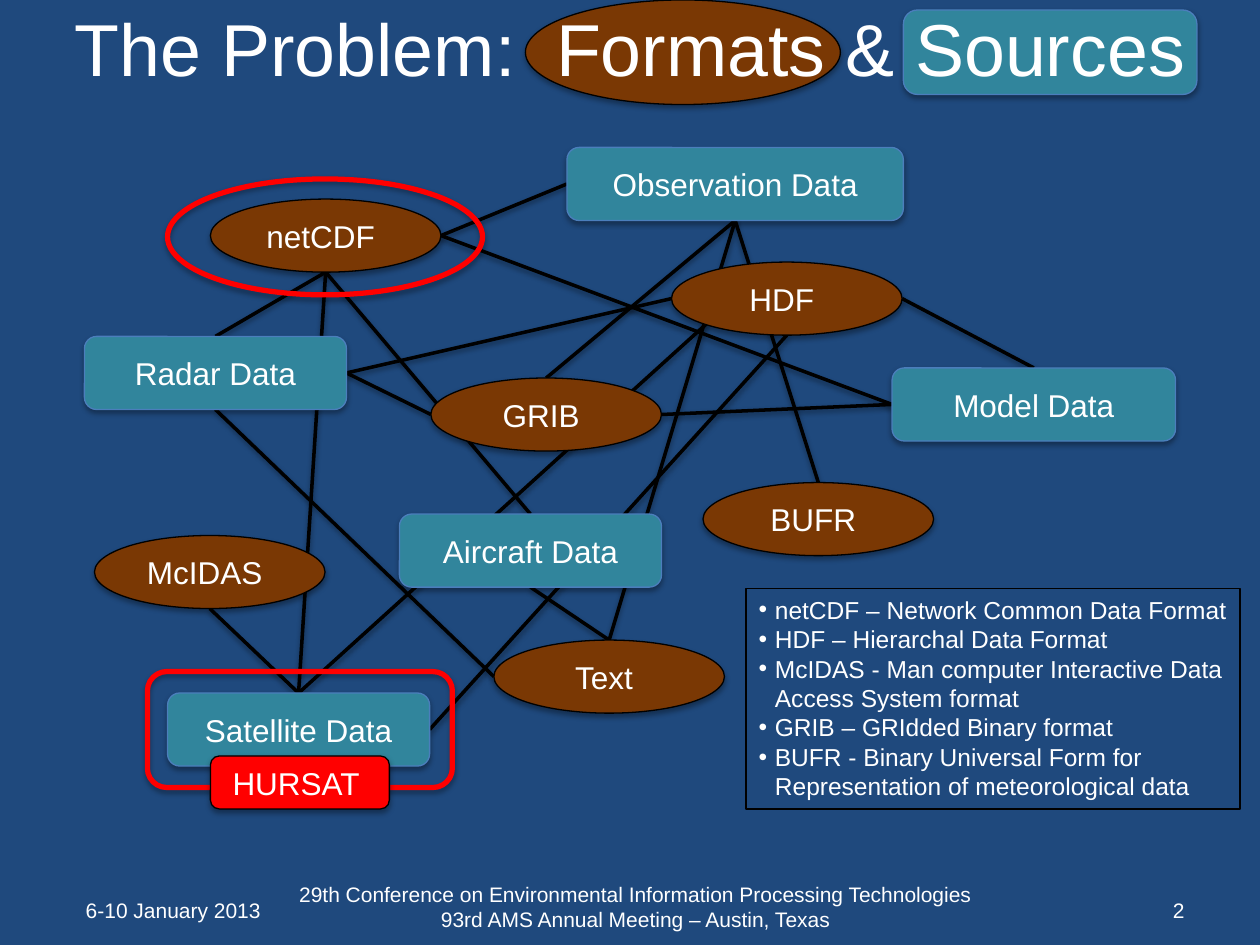
"""Build the slide that maps data formats to data sources."""
import lxml.etree
import pptx
import pptx.dml.color
import pptx.enum.shapes
import pptx.enum.text
import pptx.oxml.ns
import pptx.util

Inches = pptx.util.Inches
Pt = pptx.util.Pt
SHAPE = pptx.enum.shapes.MSO_SHAPE
ALIGN = pptx.enum.text.PP_ALIGN
MIDDLE = pptx.enum.text.MSO_ANCHOR.MIDDLE
TEAL, BROWN, RED, BLACK, WHITE = "31859C", "7A3804", "FF0000", "000000", "FFFFFF"
FORMAT_SIZE, NODE_HEIGHT = 1.83, 0.58

FORMATS = {
    "netCDF": (1.67, 1.58), "HDF": (5.33, 2.08), "GRIB": (3.42, 3),
    "BUFR": (5.58, 3.83), "McIDAS": (0.75, 4.25), "Text": (3.92, 5.08),
}
SOURCES = {
    "Observation Data": (4.5, 1.17, 2.67), "Radar Data": (0.67, 2.67, 2.08),
    "Model Data": (7.08, 2.92, 2.25), "Aircraft Data": (3.17, 4.08, 2.08),
    "Satellite Data": (1.33, 5.5, 2.08),
}
SIDES = {
    "top": (0.5, 0), "bottom": (0.5, 1), "left": (0, 0.5), "right": (1, 0.5),
    "lower left": (0.15, 0.85),
}
LINKS = [
    ("HDF", "lower left", "Satellite Data", "top"),
    ("netCDF", "bottom", "Satellite Data", "top"),
    ("netCDF", "bottom", "Aircraft Data", "top"),
    ("HDF", "bottom", "Satellite Data", "right"),
    ("Observation Data", "bottom", "Text", "top"),
    ("netCDF", "right", "Model Data", "left"),
    ("Radar Data", "top", "netCDF", "bottom"),
    ("GRIB", "right", "Model Data", "left"),
    ("HDF", "right", "Model Data", "top"),
    ("McIDAS", "bottom", "Satellite Data", "top"),
    ("Aircraft Data", "bottom", "Text", "top"),
    ("Observation Data", "bottom", "BUFR", "top"),
    ("netCDF", "right", "Observation Data", "left"),
    ("Observation Data", "bottom", "GRIB", "top"),
    ("Radar Data", "bottom", "Text", "left"),
    ("Radar Data", "right", "HDF", "left"),
    ("Radar Data", "right", "GRIB", "left"),
]
LEGEND = [
    "netCDF – Network Common Data Format",
    "HDF – Hierarchal Data Format",
    "McIDAS - Man computer Interactive Data Access System format",
    "GRIB – GRIdded Binary format",
    "BUFR - Binary Universal Form for Representation of meteorological data",
]


def color(value):
    """Turn a hex string into a colour."""
    return pptx.dml.color.RGBColor.from_string(value)


def add_shadow(item, distance=23000, alpha=35000):
    """Give a shape or connector a soft shadow below it."""
    qn = pptx.oxml.ns.qn
    effects = lxml.etree.SubElement(item._element.spPr, qn("a:effectLst"))
    shadow = lxml.etree.SubElement(
        effects, qn("a:outerShdw"), blurRad="40000", dist=str(distance),
        dir="5400000", rotWithShape="0")
    shade = lxml.etree.SubElement(shadow, qn("a:srgbClr"), val=BLACK)
    lxml.etree.SubElement(shade, qn("a:alpha"), val=str(alpha))


def write(frame, lines, size, align=ALIGN.CENTER):
    """Write one white paragraph per line."""
    frame.word_wrap = True
    for index, line in enumerate(lines):
        para = frame.add_paragraph() if index else frame.paragraphs[0]
        para.alignment = align
        span = para.add_run()
        span.text = line
        span.font.size = Pt(size)
        span.font.name = "Arial"
        span.font.color.rgb = color(WHITE)


def place(item, box):
    """Move an item into a box given in inches."""
    item.left, item.top, item.width, item.height = map(Inches, box)


def add_block(page, kind, box, fill=None, line=BLACK, weight=0.75):
    """Add a shadowed shape, hollow when no fill is given."""
    block = page.shapes.add_shape(kind, *map(Inches, box))
    if fill:
        block.fill.solid()
        block.fill.fore_color.rgb = color(fill)
    else:
        block.fill.background()
    block.line.color.rgb = color(line)
    block.line.width = Pt(weight)
    add_shadow(block)
    return block


def add_format(page, box):
    """Add the brown ellipse of a format."""
    return add_block(page, SHAPE.OVAL, box, BROWN)


def add_source(page, box):
    """Add the teal box of a source."""
    return add_block(page, SHAPE.ROUNDED_RECTANGLE, box, TEAL, "4B7EBC")


def label(block, text, shift=0):
    """Write a label in a block, moved left by the shift."""
    frame = block.text_frame
    frame.vertical_anchor = MIDDLE
    frame.margin_left = frame.margin_top = frame.margin_bottom = 0
    frame.margin_right = Inches(2 * shift)
    write(frame, [text], 18)


def add_title(page):
    """Place the title over its two badges."""
    add_source(page, (7.17, 0.08, 2.33, 0.67))
    add_format(page, (4.17, 0, 2.5, 0.83))
    title = page.shapes.title
    place(title, (0, 0, 10, 0.75))
    title.text_frame.vertical_anchor = MIDDLE
    title.text_frame.auto_size = pptx.enum.text.MSO_AUTO_SIZE.NONE
    write(title.text_frame, ["The Problem:  Formats & Sources"], 42)
    page.shapes._spTree.append(title._element)


def add_network(page):
    """Draw the links, then the formats and sources above them."""
    boxes = {name: (*spot, FORMAT_SIZE, NODE_HEIGHT) for name, spot in FORMATS.items()}
    boxes.update({name: (*spot, NODE_HEIGHT) for name, spot in SOURCES.items()})

    def anchor(name, side):
        """Find the point on one side of a node."""
        left, top, width, height = boxes[name]
        across, down = SIDES[side]
        return Inches(left + across * width), Inches(top + down * height)

    for start, start_side, end, end_side in LINKS:
        link = page.shapes.add_connector(
            pptx.enum.shapes.MSO_CONNECTOR.STRAIGHT,
            *anchor(start, start_side), *anchor(end, end_side))
        link.line.color.rgb = color(BLACK)
        link.line.width = Pt(2)
        add_shadow(link, 20000, 38000)
    for name in SOURCES:
        label(add_source(page, boxes[name]), name)
    for name in FORMATS:
        label(add_format(page, boxes[name]), name, 0.04)


def add_highlights(page):
    """Ring netCDF and the satellite data in red and tag the latter."""
    rounded = SHAPE.ROUNDED_RECTANGLE
    add_block(page, SHAPE.OVAL, (1.33, 1.42, 2.5, 0.92), None, RED, 3)
    add_block(page, rounded, (1.17, 5.33, 2.42, 0.92), None, RED, 3)
    label(add_block(page, rounded, (1.67, 6, 1.42, 0.42), RED), "HURSAT", 0.03)


def add_legend(page, box):
    """Fill the body placeholder with the list of formats."""
    legend = page.placeholders[1]
    place(legend, box)
    legend.line.color.rgb = color(BLACK)
    legend.line.width = Pt(1)
    legend.text_frame.auto_size = pptx.enum.text.MSO_AUTO_SIZE.NONE
    write(legend.text_frame, LEGEND, 14, ALIGN.LEFT)
    for para in legend.text_frame.paragraphs:
        para.space_before = Pt(0)
        props = para._p.get_or_add_pPr()
        props.set("marL", str(Inches(0.13)))
        props.set("indent", str(Inches(-0.13)))
        bullet = pptx.oxml.ns.qn("a:buChar")
        lxml.etree.SubElement(props, bullet, char="•")


def add_footer(page):
    """Add the date, the conference and the page number."""
    conference = [
        "29th Conference on Environmental Information Processing Technologies",
        "93rd AMS Annual Meeting – Austin, Texas"]
    for box, lines, align in [
            ((0.5, 7.02, 1.75, 0.4), ["6-10 January 2013"], ALIGN.CENTER),
            ((1.92, 6.98, 6.25, 0.43), conference, ALIGN.CENTER),
            ((7.17, 7.02, 2.33, 0.4), ["2"], ALIGN.RIGHT)]:
        note = page.shapes.add_textbox(*map(Inches, box))
        note.text_frame.vertical_anchor = MIDDLE
        write(note.text_frame, lines, 12, align)


deck = pptx.Presentation()
deck.slide_width, deck.slide_height = Inches(10), Inches(7.5)
page = deck.slides.add_slide(deck.slide_layouts[1])
page.background.fill.solid()
page.background.fill.fore_color.rgb = color("1F497D")
add_title(page)
add_network(page)
add_legend(page, (5.92, 4.67, 3.92, 1.75))
add_highlights(page)
add_footer(page)
deck.save("out.pptx")
